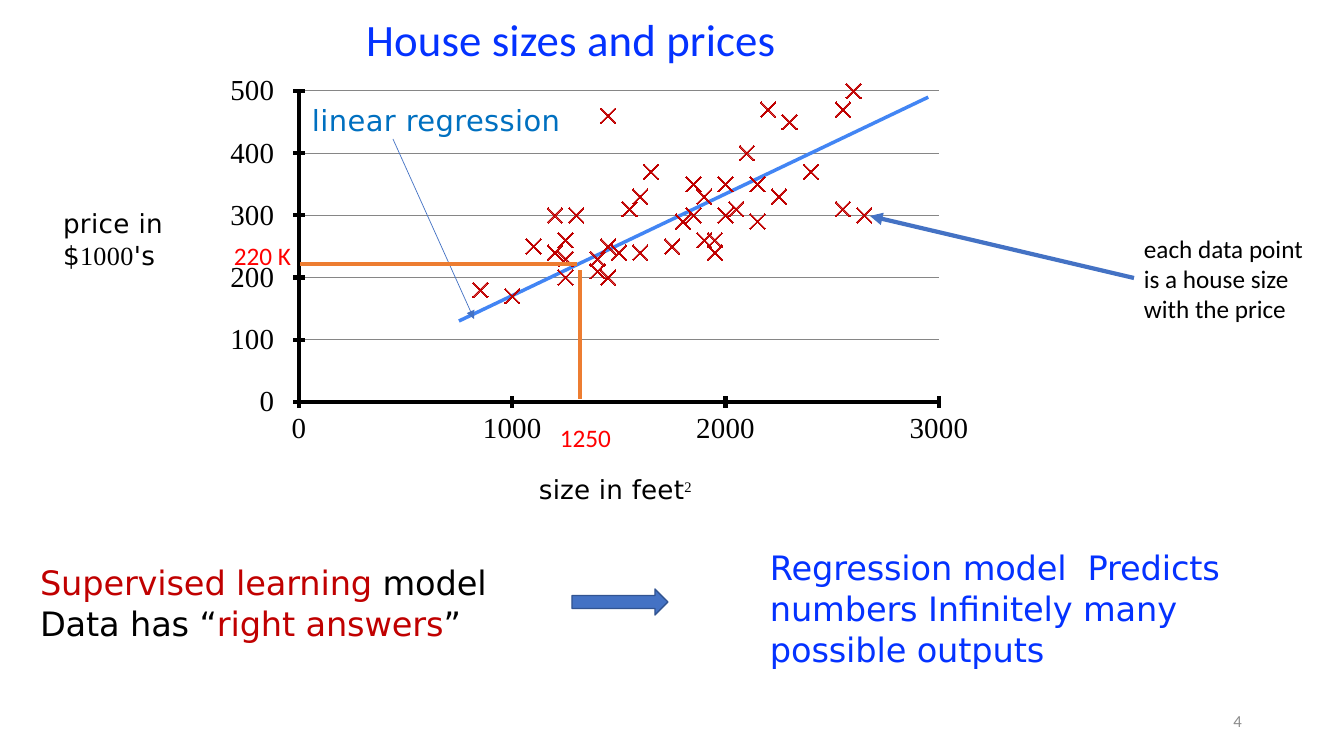
from lxml import etree
from pptx import Presentation, util as u
from pptx.chart.data import XyChartData
from pptx.dml.color import RGBColor
from pptx.enum import chart as ch, shapes, text
from pptx.oxml.ns import qn

PX = 914400 / 100.8
SANS, SERIF, BODY = "DejaVu Sans", "Times New Roman", "Calibri"
BLACK, RED, BLUE, CRIMSON = "000000", "FF0000", "0432FF", "C00000"
ARROW_BLUE, ORANGE = "4472C4", "ED7D31"
SIZE_MAX, PRICE_MAX = 3000, 500

# (size in square feet, price in thousands)
HOUSES = [
    (2100, 400), (1600, 330), (2400, 370), (1400, 230), (2000, 300), (1550, 310),
    (1450, 200), (1400, 210), (1500, 240), (1950, 240), (2000, 350), (1900, 330),
    (1250, 260), (2300, 450), (1300, 300), (1250, 200), (2600, 500), (1750, 250),
    (1900, 260), (1600, 240), (1950, 260), (1100, 250), (1450, 460), (2550, 470),
    (2200, 470), (2650, 300), (1850, 350), (1000, 170), (2050, 310), (1800, 290),
    (1450, 250), (1250, 230), (2150, 350), (2150, 290), (1650, 370), (2250, 330),
    (2550, 310), (1200, 300), (850, 180), (1850, 300), (1200, 240),
]
REGRESSION = [(750, 130), (2950, 490)]


def px(length):
    return u.Emu(round(length * PX))


def color(value):
    return RGBColor.from_string(value)


def set_line(line, value, width):
    line.color.rgb = color(value)
    line.width = u.Pt(width)


def add_text(slide, box, paras, font=SANS, size=24, fill=BLACK, spacing=0,
             line=None, align="LEFT", anchor="TOP", wrap=False):
    """Each para is a list of (text, overrides); spacing is between letters, in points."""
    frame = slide.shapes.add_textbox(*map(px, box)).text_frame
    frame.margin_left = frame.margin_right = frame.margin_top = frame.margin_bottom = 0
    frame.word_wrap = wrap
    frame.vertical_anchor = text.MSO_ANCHOR[anchor]
    for index, spans in enumerate(paras):
        para = frame.paragraphs[0] if index == 0 else frame.add_paragraph()
        para.alignment = text.PP_ALIGN[align]
        if line:
            para.line_spacing = line
        for words, changes in spans:
            span = para.add_run()
            span.text = words
            span.font.name = changes.get("font", font)
            span.font.size = u.Pt(changes.get("size", size))
            span.font.color.rgb = color(changes.get("fill", fill))
            properties = span.font._element
            properties.set("spc", str(round(spacing * 100)))
            if "baseline" in changes:
                properties.set("baseline", str(changes["baseline"]))


def add_line(slide, start, end, fill, width, arrow=False):
    line = slide.shapes.add_connector(
        shapes.MSO_CONNECTOR.STRAIGHT, *map(px, (*start, *end)))
    set_line(line.line, fill, width)
    properties = line._element.spPr
    if arrow:
        etree.SubElement(properties.find(qn("a:ln")), qn("a:tailEnd"), type="triangle")
    etree.SubElement(properties, qn("a:effectLst"))


def fix_plot_area(chart, frame, plot):
    """Pin the inner plot area to the box plot inside the box frame."""
    area = chart._chartSpace.chart.plotArea
    for old in area.findall(qn("c:layout")):
        area.remove(old)
    layout = etree.Element(qn("c:layout"))
    manual = etree.SubElement(layout, qn("c:manualLayout"))
    values = [("layoutTarget", "inner"), ("xMode", "edge"), ("yMode", "edge"),
              ("x", (plot[0] - frame[0]) / frame[2]),
              ("y", (plot[1] - frame[1]) / frame[3]),
              ("w", plot[2] / frame[2]), ("h", plot[3] / frame[3])]
    for name, value in values:
        etree.SubElement(manual, qn("c:" + name), val=str(value))
    area.insert(0, layout)


def style_axis(axis, maximum, step, label_format):
    axis.minimum_scale, axis.maximum_scale, axis.major_unit = 0, maximum, step
    axis.major_tick_mark = ch.XL_TICK_MARK.CROSS
    axis.minor_tick_mark = ch.XL_TICK_MARK.NONE
    set_line(axis.format.line, BLACK, 3)
    axis.tick_labels.number_format = label_format
    axis.tick_labels.number_format_is_linked = False


def add_scatter(slide, frame, plot):
    data = XyChartData()
    for name, points in (("houses", HOUSES), ("linear regression", REGRESSION)):
        series = data.add_series(name)
        for point in points:
            series.add_data_point(*point)
    chart = slide.shapes.add_chart(
        ch.XL_CHART_TYPE.XY_SCATTER, *map(px, frame), data).chart
    chart.has_legend = chart.has_title = False
    chart.font.name, chart.font.size = SERIF, u.Pt(20.7)
    chart.font.color.rgb = color(BLACK)
    chart.plots[0].vary_by_categories = False
    style_axis(chart.category_axis, SIZE_MAX, 1000, "0")
    # "_0" pads each price label by the width of one digit
    style_axis(chart.value_axis, PRICE_MAX, 100, "0_0")
    chart.category_axis.has_major_gridlines = False
    set_line(chart.value_axis.major_gridlines.format.line, "868686", 0.75)
    houses, regression = chart.plots[0].series
    houses.smooth = regression.smooth = False
    houses.format.line.fill.background()
    houses.marker.style, houses.marker.size = ch.XL_MARKER_STYLE.X, 11
    houses.marker.format.fill.solid()
    houses.marker.format.fill.fore_color.rgb = color(CRIMSON)
    set_line(houses.marker.format.line, CRIMSON, 2)
    regression.marker.style = ch.XL_MARKER_STYLE.NONE
    set_line(regression.format.line, "4285F4", 2.5)
    fix_plot_area(chart, frame, plot)


def add_chart_region(slide, box):
    """Place the scatter chart and its labels; box is the plot area."""
    left, top, width, height = box
    bottom = top + height
    add_scatter(slide, (left - 100, top - 31, width + 160, height + 90), box)
    add_text(slide, (left - 236, top + 117, 104, 64),
             [[("price in", {})], [("$", {}), ("1000", {"font": SERIF}), ("'s", {})]],
             size=18.7, spacing=0.25, line=u.Pt(22.3))
    add_text(slide, (left + 240, bottom + 71, 160, 32),
             [[("size in feet", {}),
               ("2", {"font": SERIF, "size": 18, "baseline": 28000})]],
             size=18.7, spacing=0.15)
    add_text(slide, (left + 13, top + 12, 250, 34), [[("linear regression", {})]],
             size=20.7, fill="0070C0", spacing=0.3)
    add_line(slide, (left + 94, top + 48), (left + 175, top + 228), ARROW_BLUE, 0.5, True)

    add_line(slide, (left + 281, bottom - 3), (left + 281, top + 179), ORANGE, 3)
    add_line(slide, (left + 278, top + 173), (left + 1, top + 173), ORANGE, 3)
    for words, x, y in (("1250", left + 261, bottom + 20), ("220 K", left - 65, top + 149)):
        add_text(slide, (x, y, 58, 31), [[(words, {})]], font=BODY, size=18, fill=RED)

    add_line(slide, (left + 835, top + 187), (left + 571, top + 125), ARROW_BLUE, 3, True)
    add_text(slide, (left + 845, top + 142, 167, 92),
             [[(words, {})] for words in
              ("each data point", "is a house size", "with the price")],
             font=BODY, size=18)


def add_summary(slide, box):
    """Place the two statements and the arrow between them."""
    left, top, width, height = box
    accent = {"fill": CRIMSON}
    add_text(slide, (left, top + 13, 455, 82),
             [[("Supervised learning ", accent), ("model", {})],
              [("Data has “", {}), ("right answers", accent), ("”", {})]],
             spacing=-0.1, line=1.01)
    arrow = slide.shapes.add_shape(
        shapes.MSO_SHAPE.RIGHT_ARROW, *map(px, (left + 532, top + 40, 96, 26)))
    arrow.shadow.inherit = False
    arrow.fill.solid()
    arrow.fill.fore_color.rgb = color(ARROW_BLUE)
    set_line(arrow.line, "325491", 1)
    add_text(slide, (left + width - 471, top - 2, 471, height),
             [[("Regression model  Predicts numbers Infinitely many possible outputs", {})]],
             fill=BLUE, spacing=-0.1, line=1.01, wrap=True)


def main():
    deck = Presentation()
    deck.slide_width, deck.slide_height = px(1344), px(756)
    page = deck.slides.add_slide(deck.slide_layouts[6])
    add_text(page, (366, 13, 431, 51), [[("House sizes and prices", {})]],
             font=BODY, size=32, fill=BLUE, spacing=0.1, anchor="MIDDLE")
    add_chart_region(page, (299, 91, 640, 311))
    add_summary(page, (40, 549, 1201, 120))
    add_text(page, (950, 701, 292, 40), [[("4", {})]], font=BODY, size=12,
             fill="8C8C8C", align="RIGHT", anchor="MIDDLE")
    deck.save("out.pptx")


if __name__ == "__main__":
    main()
